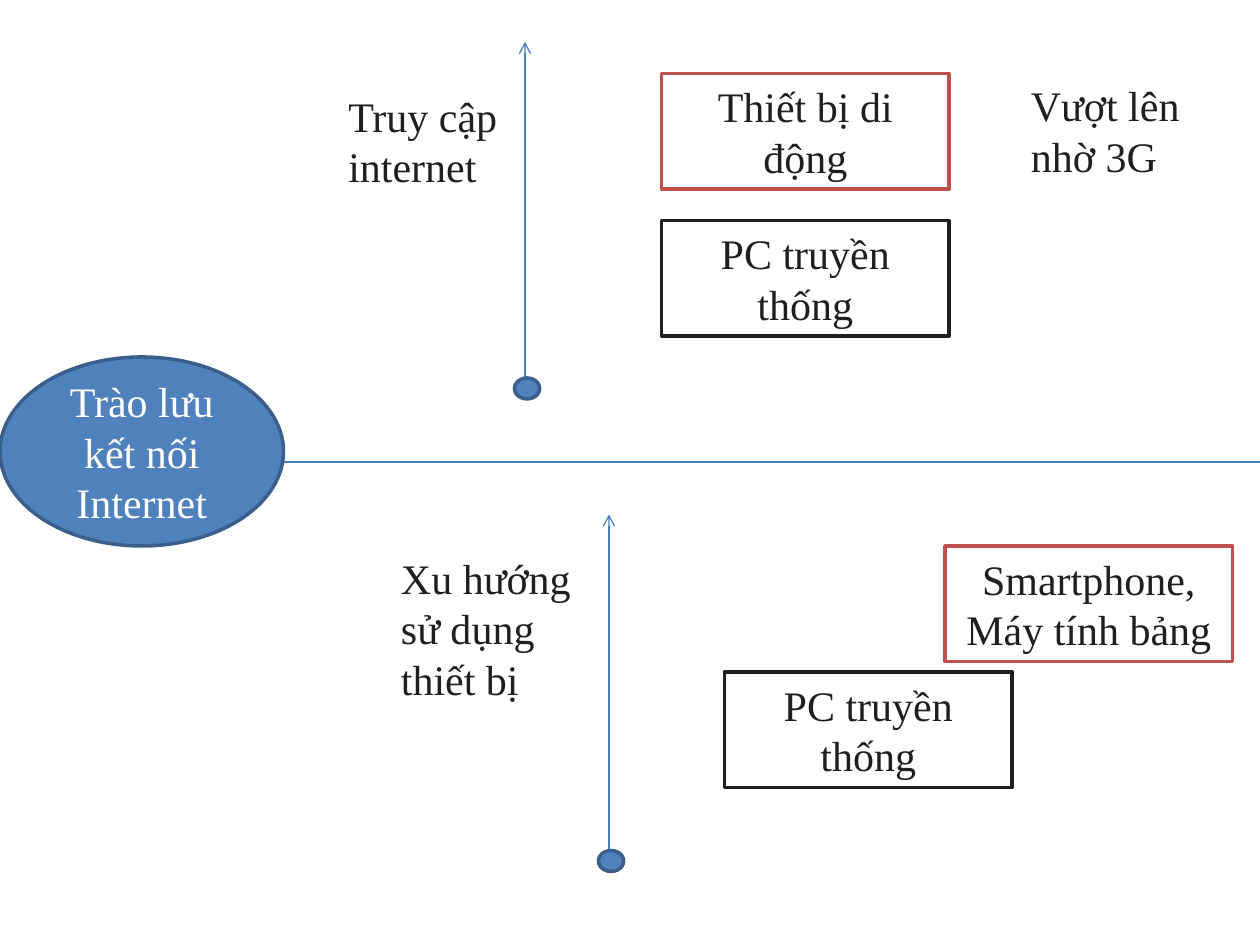
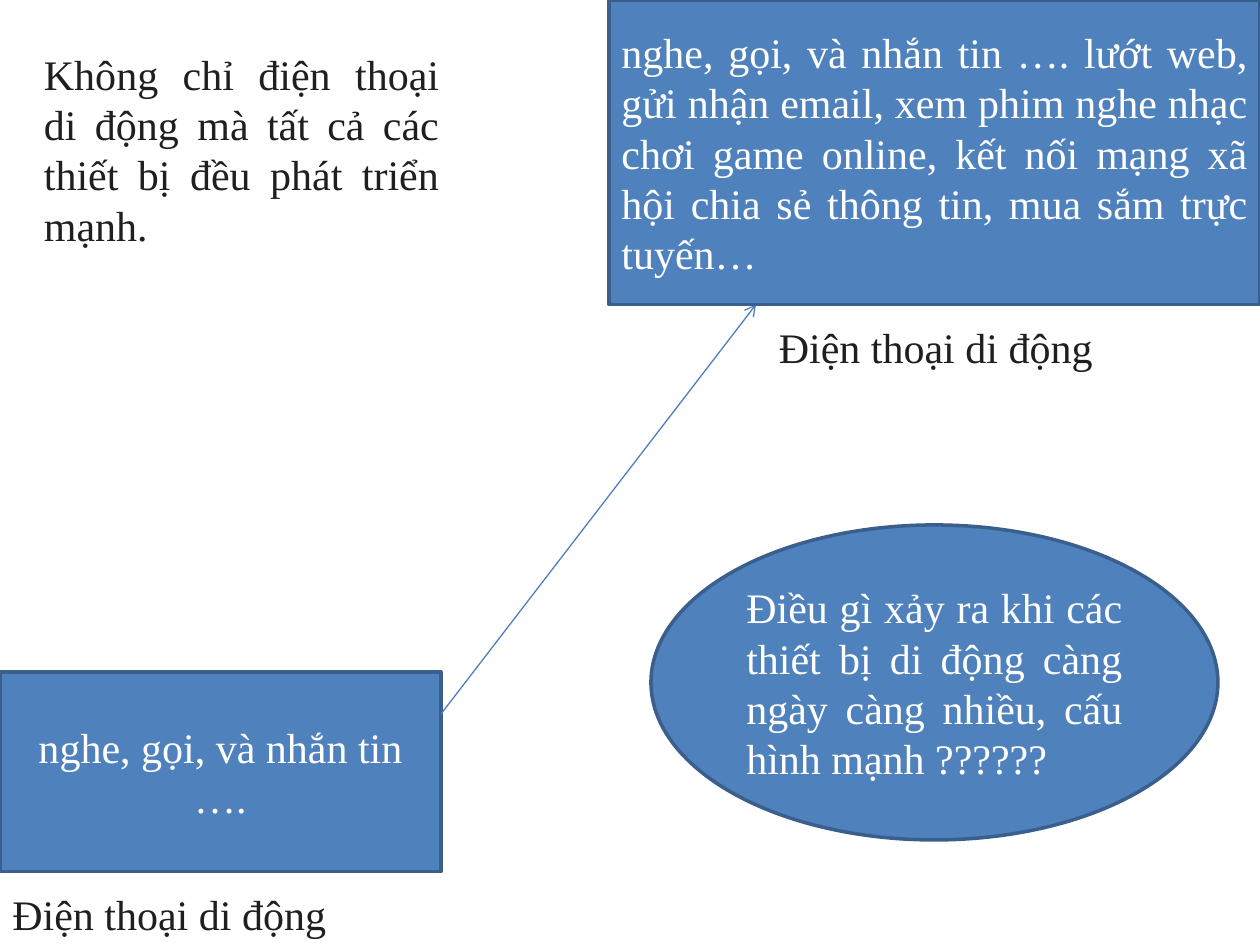
import pptx
import pptx.util
import pptx.dml.color
import pptx.enum.shapes
import pptx.enum.text
import pptx.oxml
import pptx.oxml.ns

PX = 7620  # 120 px to the inch
KIND = pptx.enum.shapes.MSO_SHAPE
ALIGN = pptx.enum.text.PP_ALIGN
ANCHOR = pptx.enum.text.MSO_ANCHOR
FIT = pptx.enum.text.MSO_AUTO_SIZE
tint = pptx.dml.color.RGBColor.from_string

DARK, WHITE, RED = "1F1F1F", "FFFFFF", "C0504D"
BLUE, EDGE, WIRE = "4F81BD", "3A5F8C", "4B7EBC"
FONT = {"name": "Times New Roman", "size": pptx.util.Pt(24)}
LABEL = {"word_wrap": True, "auto_size": FIT.SHAPE_TO_FIT_TEXT}
BODY = {"word_wrap": True, "vertical_anchor": ANCHOR.MIDDLE}


def put(shapes, kind, area, text="", fill=BLUE, edge=EDGE, ink=WHITE, align=ALIGN.CENTER):
    """Add a preset shape, or a plain text box when kind is None."""
    area = [n * PX for n in area]
    if kind is None:
        item = shapes.add_textbox(*area)
    else:
        item = shapes.add_shape(kind, *area)
        item.shadow.inherit = False
        item.fill.solid()
        item.fill.fore_color.rgb = tint(fill)
        item.line.color.rgb = tint(edge)
        item.line.width = pptx.util.Pt(2)
    if not text:
        return
    frame = item.text_frame
    for key, value in (LABEL if kind is None else BODY).items():
        setattr(frame, key, value)
    para = frame.paragraphs[0]
    para.alignment = align
    run = para.add_run()
    run.text = text
    for key, value in FONT.items():
        setattr(run.font, key, value)
    run.font.color.rgb = tint(ink)


def draw(shapes, ends, arrow=True):
    """Add a thin straight line from ends[:2] to ends[2:]."""
    wire = shapes.add_connector(
        pptx.enum.shapes.MSO_CONNECTOR.STRAIGHT, *[n * PX for n in ends])
    wire.line.color.rgb = tint(WIRE)
    wire.line.width = pptx.util.Pt(0.75)
    if arrow:
        tail = pptx.oxml.parse_xml(
            f'<a:tailEnd {pptx.oxml.ns.nsdecls("a")} type="arrow"/>')
        wire.line._get_or_add_ln().append(tail)
    wire._element.spPr.append(
        pptx.oxml.parse_xml(f'<a:effectLst {pptx.oxml.ns.nsdecls("a")}/>'))


deck = pptx.Presentation()
deck.slide_width, deck.slide_height = 1200 * PX, 900 * PX
blank = deck.slide_layouts[6]

# Slide 1: two upward trends around the main line
trend = deck.slides.add_slide(blank)
PC = "PC truyền thống"
parts = [
    {
        "axis": (500, 360, 500, 40),
        "dot": (490, 360),
        "notes": [((320, 80, 190, 109), "Truy cập internet"),
                  ((970, 70, 190, 109), "Vượt lên nhờ 3G")],
        "boxes": [((630, 70), "Thiết bị di động", RED), ((630, 210), PC, DARK)],
    },
    {
        "axis": (580, 810, 580, 490),
        "dot": (570, 810),
        "notes": [((370, 520, 210, 157), "Xu hướng sử dụng thiết bị")],
        "boxes": [((900, 520), "Smartphone, Máy tính bảng", RED), ((690, 640), PC, DARK)],
    },
]
for part in parts:
    group = trend.shapes.add_group_shape().shapes
    draw(group, part["axis"])
    for area, text in part["notes"]:
        put(group, None, area, text, ink=DARK, align=ALIGN.LEFT)
    for spot, text, edge in part["boxes"]:
        put(group, KIND.RECTANGLE, (*spot, 274, 110), text, WHITE, edge, DARK)
    put(group, KIND.OVAL, (*part["dot"], 24, 20))

group = trend.shapes.add_group_shape().shapes
draw(group, (250, 440, 1200, 440), arrow=False)
put(group, KIND.OVAL, (0, 340, 270, 180), "Trào lưu kết nối Internet")

# Slide 2: the phone then and now
phone = deck.slides.add_slide(blank).shapes
put(phone, KIND.RECTANGLE, (0, 640, 420, 190), "nghe, gọi, và nhắn tin ….")
draw(phone, (420, 680, 720, 290))
put(phone, KIND.RECTANGLE, (580, 0, 620, 290),
    "nghe, gọi, và nhắn tin …. lướt web, gửi nhận email, xem phim nghe nhạc "
    "chơi game online, kết nối mạng xã hội chia sẻ thông tin, mua sắm trực tuyến…",
    align=ALIGN.JUSTIFY)
put(phone, KIND.OVAL, (620, 500, 540, 300),
    "Điều gì xảy ra khi các thiết bị di động càng ngày càng nhiều, "
    "cấu hình mạnh ??????", align=ALIGN.JUSTIFY)
for spot in [(0, 840), (730, 300)]:
    put(phone, None, (*spot, 410, 60), "Điện thoại di động", ink=DARK, align=ALIGN.LEFT)
put(phone, None, (30, 40, 400, 206),
    "Không chỉ điện thoại di động mà tất cả các thiết bị đều phát triển mạnh.",
    ink=DARK, align=ALIGN.JUSTIFY)

deck.save("out.pptx")
